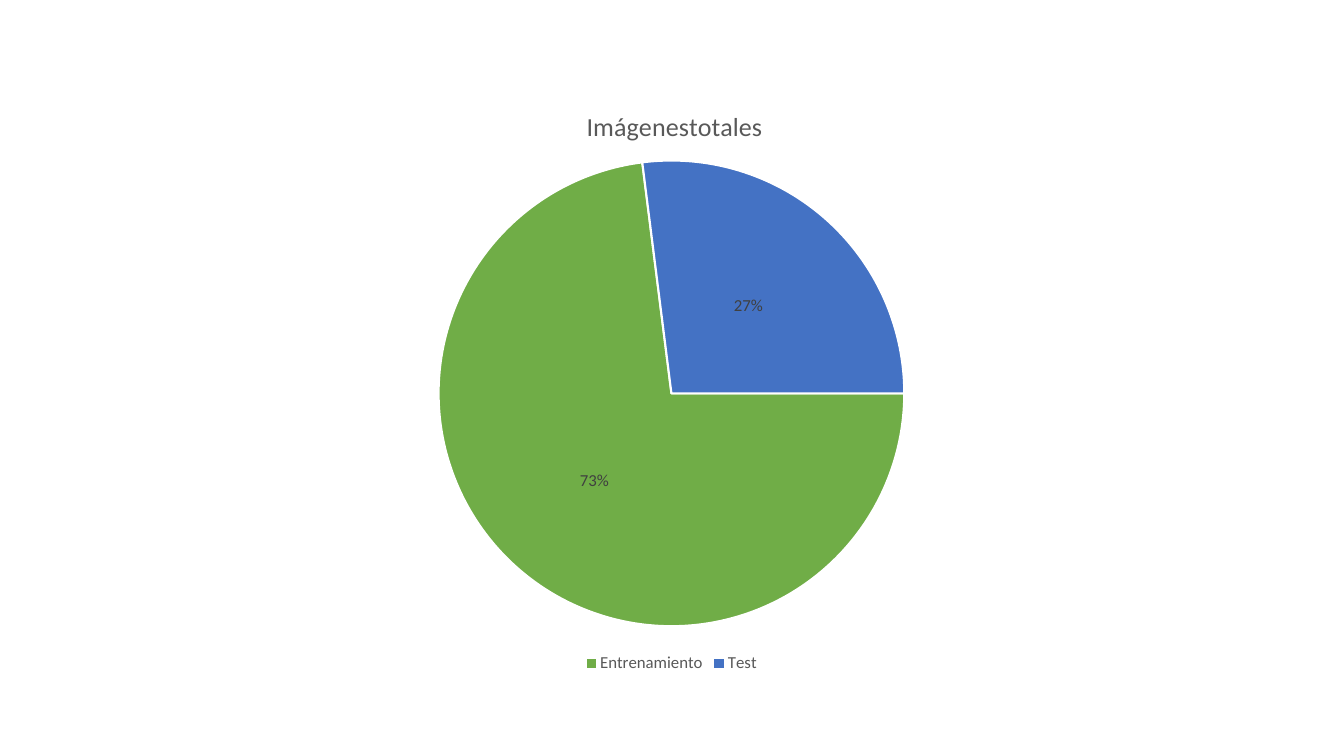
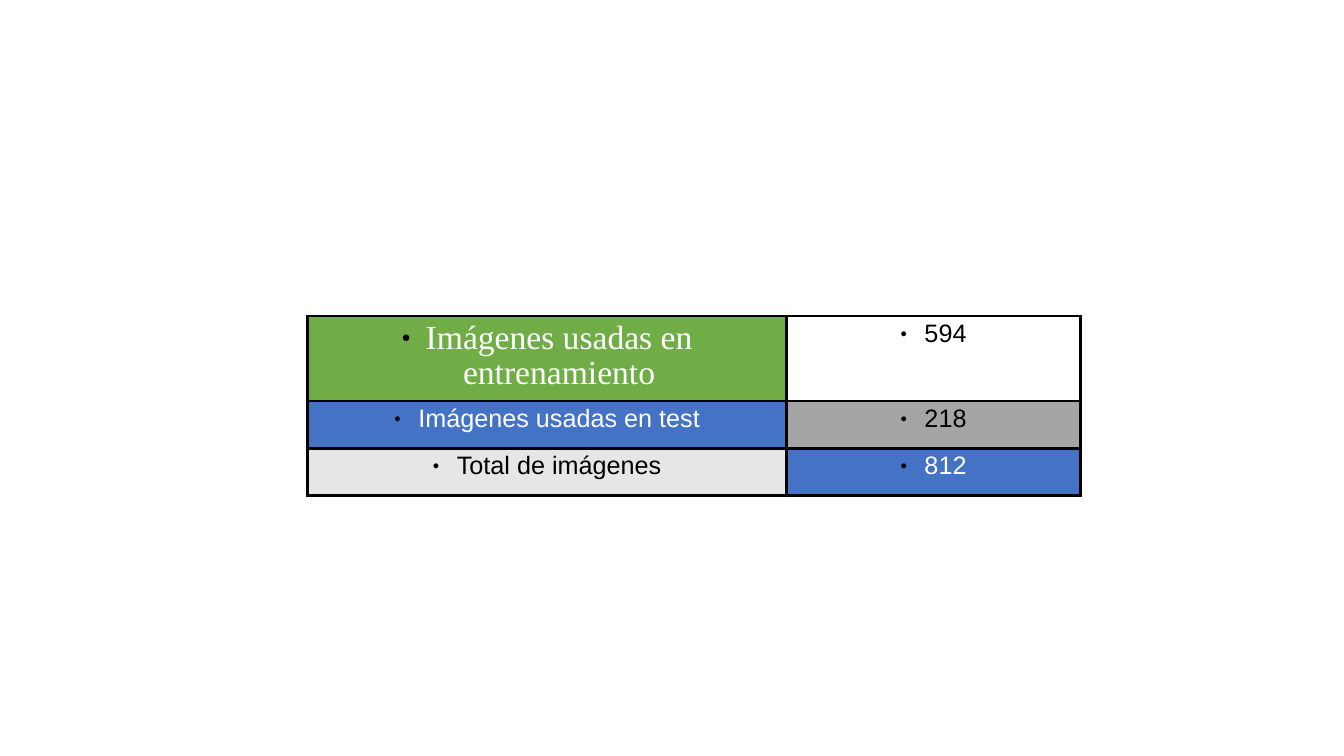
from dataclasses import dataclass

from lxml.etree import SubElement
from pptx import Presentation
from pptx.chart.data import CategoryChartData
from pptx.dml.color import RGBColor
from pptx.enum.chart import XL_CHART_TYPE, XL_LABEL_POSITION, XL_LEGEND_POSITION
from pptx.enum.text import PP_ALIGN
from pptx.oxml import parse_xml
from pptx.oxml.ns import nsdecls, qn
from pptx.util import Emu, Pt

PX = 9525  # EMU in one px, 96 px to the inch
W, H = 1280, 720
COLORS = {
    "green": "70AD47", "blue": "4472C4", "gray": "A5A5A5", "light": "E7E6E6",
    "white": "FFFFFF", "black": "000000", "title": "595959", "label": "404040",
}
CHART_FONT, TABLE_FONT, HEAD_FONT = "Calibri", "Arial", "Times New Roman"
BORDER = Pt(1.98)
INDENT = 23


@dataclass
class Slice:
    name: str
    value: int
    color: str


@dataclass
class CellSpec:
    text: str
    color: str
    fill: str | None = None
    font: str = TABLE_FONT
    size: int = 18


SLICES = [Slice("Entrenamiento", 73, "green"), Slice("Test", 27, "blue")]
ROWS = [
    [CellSpec("Imágenes usadas en entrenamiento", "white", "green", HEAD_FONT, 24),
     CellSpec("594", "black")],
    [CellSpec("Imágenes usadas en test", "white", "blue"),
     CellSpec("218", "black", "gray")],
    [CellSpec("Total de imágenes", "black", "light"),
     CellSpec("812", "white", "blue")],
]
COL_WIDTHS = [456, 280]
ROW_HEIGHTS = [81, 45, 45]


def px(n: int) -> Emu:
    return Emu(n * PX)


def rgb(name: str) -> RGBColor:
    return RGBColor.from_string(COLORS[name])


def style_font(font, name: str, size: float, color: str) -> None:
    font.name, font.size, font.bold = name, Pt(size), False
    font.color.rgb = rgb(color)


def place(parent, index: int, **fractions: float) -> None:
    """Give a chart part a fixed place, in fractions of the chart."""
    for old in parent.findall(qn("c:layout")):
        parent.remove(old)
    layout = parse_xml(f"<c:layout {nsdecls('c')}><c:manualLayout/></c:layout>")
    manual = layout[0]
    if "w" in fractions:
        SubElement(manual, qn("c:layoutTarget")).set("val", "inner")
    for axis in "xy":
        SubElement(manual, qn(f"c:{axis}Mode")).set("val", "edge")
    for key, value in fractions.items():
        SubElement(manual, qn(f"c:{key}")).set("val", str(value))
    parent.insert(index, layout)


def add_pie(s, slices: list[Slice], title: str) -> None:
    data = CategoryChartData()
    data.categories = [sl.name for sl in slices]
    data.add_series("Series 1", [sl.value for sl in slices])
    chart = s.shapes.add_chart(XL_CHART_TYPE.PIE, px(213), px(76),
                               px(853), px(569), data).chart
    style_font(chart.font, CHART_FONT, 10, "black")

    # Title and legend
    chart.has_title = True
    r = chart.chart_title.text_frame.paragraphs[0].add_run()
    r.text = title
    style_font(r.font, CHART_FONT, 18.6, "title")
    chart.has_legend = True
    chart.legend.position = XL_LEGEND_POSITION.BOTTOM
    chart.legend.include_in_layout = False
    style_font(chart.legend.font, CHART_FONT, 12, "title")

    # Slices
    plot = chart.plots[0]
    plot.vary_by_categories = True
    ser = plot.series[0]
    for i, sl in enumerate(slices):
        fmt = ser.points[i].format
        fmt.fill.solid()
        fmt.fill.fore_color.rgb = rgb(sl.color)
        fmt.line.color.rgb = rgb("white")
        fmt.line.width = Pt(1.5)

    # Labels
    labels = ser.data_labels
    labels.show_percentage, labels.show_value = True, False
    labels.number_format, labels.number_format_is_linked = "0%", False
    labels.position = XL_LABEL_POSITION.CENTER
    style_font(labels.font, CHART_FONT, 12, "label")

    # Start angle and places
    pie = plot._element
    for old in pie.findall(qn("c:firstSliceAng")):
        pie.remove(old)
    SubElement(pie, qn("c:firstSliceAng")).set("val", "90")
    place(pie.getparent(), 0, x=0.24, y=0.13, w=0.52, h=0.79)
    place(chart.chart_title._element, 1, x=0.4, y=0.04)


def add_bullet(p) -> None:
    pPr = p._p.get_or_add_pPr()
    pPr.set("marL", str(px(INDENT)))
    pPr.set("indent", str(-px(INDENT)))
    color = SubElement(pPr, qn("a:buClr"))
    SubElement(color, qn("a:srgbClr")).set("val", COLORS["black"])
    SubElement(pPr, qn("a:buSzPct")).set("val", "45000")
    SubElement(pPr, qn("a:buFont")).set("typeface", TABLE_FONT)
    SubElement(pPr, qn("a:buChar")).set("char", "●")


def add_borders(cell) -> None:
    tcPr = cell._tc.get_or_add_tcPr()
    for i, side in enumerate("LRTB"):
        tcPr.insert(i, parse_xml(
            f'<a:ln{side} {nsdecls("a")} w="{BORDER}"><a:solidFill>'
            f'<a:srgbClr val="{COLORS["black"]}"/></a:solidFill></a:ln{side}>'))


def fill_cell(cell, spec: CellSpec) -> None:
    if spec.fill:
        cell.fill.solid()
        cell.fill.fore_color.rgb = rgb(spec.fill)
    else:
        cell.fill.background()
    add_borders(cell)
    p = cell.text_frame.paragraphs[0]
    p.alignment = PP_ALIGN.CENTER
    p.line_spacing = 0.95
    add_bullet(p)
    r = p.add_run()
    r.text = spec.text
    style_font(r.font, spec.font, spec.size, spec.color)


def add_counts(s, rows: list[list[CellSpec]]) -> None:
    table = s.shapes.add_table(len(rows), len(COL_WIDTHS), px(293), px(301),
                               px(sum(COL_WIDTHS)), px(sum(ROW_HEIGHTS))).table
    table.first_row = table.horz_banding = False
    for col, width in zip(table.columns, COL_WIDTHS):
        col.width = px(width)
    for row, height, specs in zip(table.rows, ROW_HEIGHTS, rows):
        row.height = px(height)
        for cell, spec in zip(row.cells, specs):
            fill_cell(cell, spec)


def main() -> None:
    prs = Presentation()
    prs.slide_width, prs.slide_height = px(W), px(H)
    blank = prs.slide_layouts[6]
    add_pie(prs.slides.add_slide(blank), SLICES, "Imágenestotales")
    add_counts(prs.slides.add_slide(blank), ROWS)
    prs.save("out.pptx")


if __name__ == "__main__":
    main()
